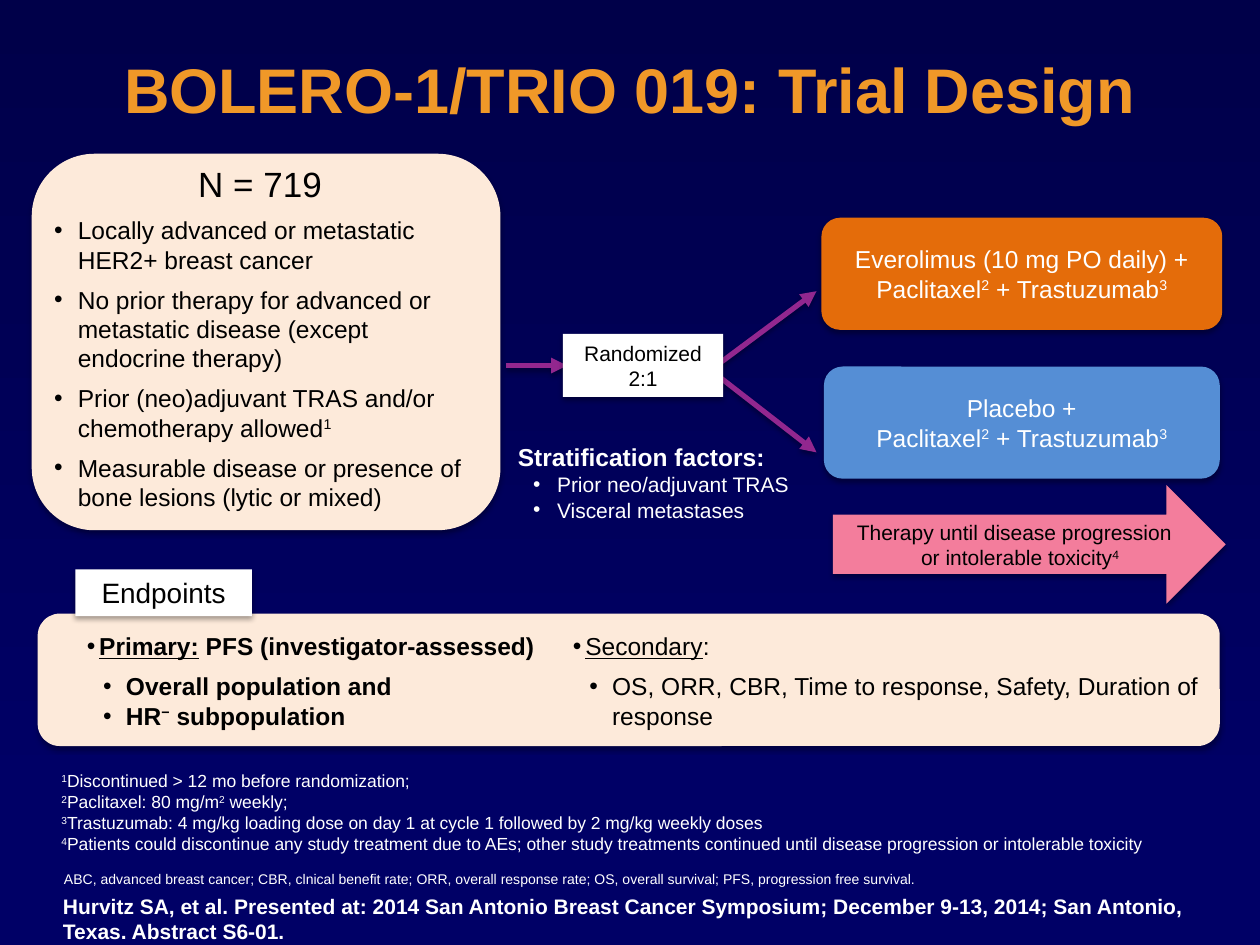
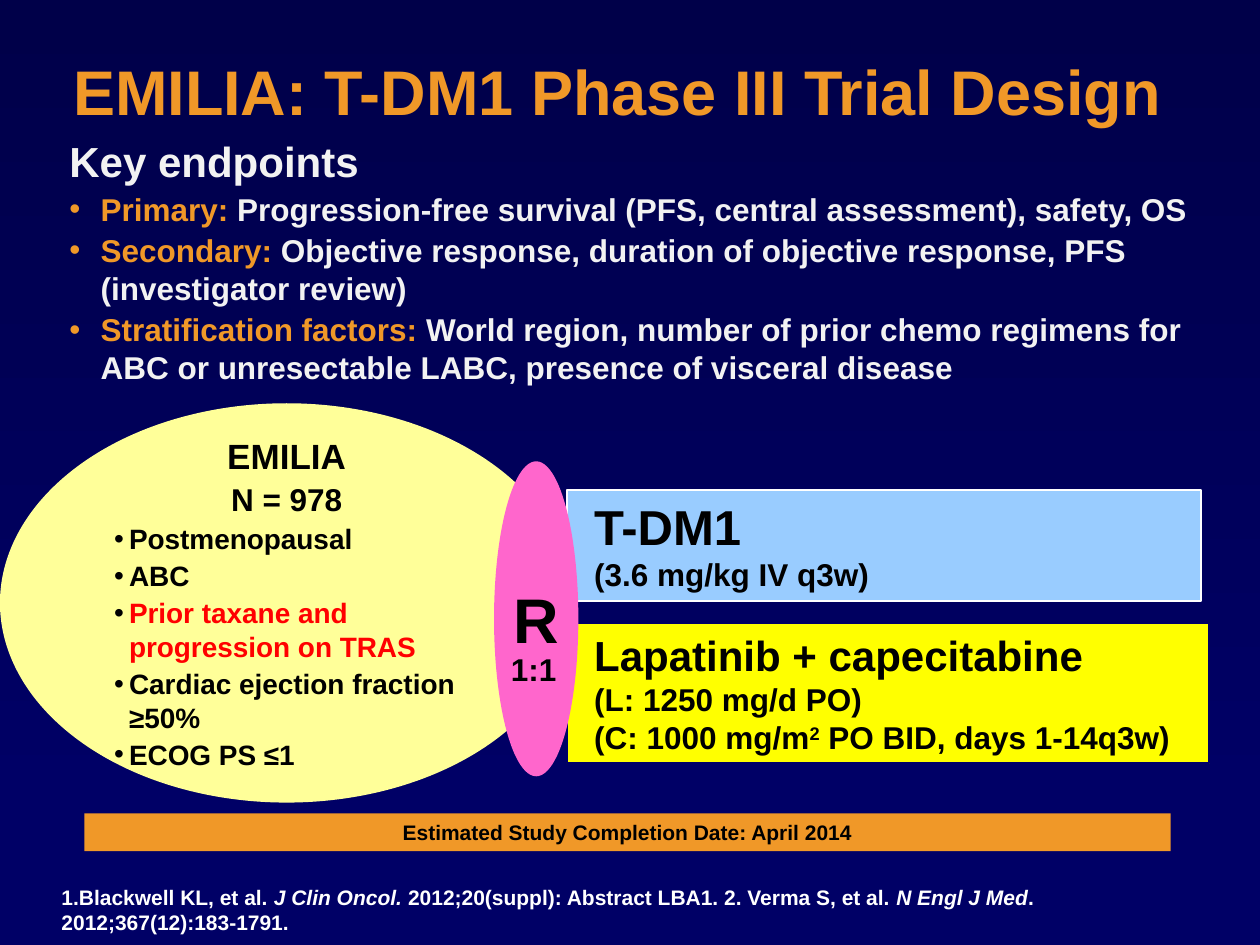
"""Build two slides on the design of the BOLERO-1 and EMILIA breast cancer trials."""
from pptx import Presentation
from pptx.dml.color import RGBColor
from pptx.enum.shapes import MSO_CONNECTOR as Connector, MSO_SHAPE as Shape
from pptx.enum.text import MSO_ANCHOR as Anchor, PP_ALIGN as Align
from pptx.oxml import parse_xml
from pptx.oxml.ns import nsdecls
from pptx.util import Cm, Pt

FONT = "Arial"
BLACK = RGBColor(0x00, 0x00, 0x00)
WHITE = RGBColor(0xFF, 0xFF, 0xFF)
OFF_WHITE = RGBColor(0xF2, 0xF2, 0xF2)
NAVY = RGBColor(0x00, 0x00, 0x66)
DARK_NAVY = RGBColor(0x00, 0x00, 0x49)
AMBER = RGBColor(0xF0, 0x98, 0x28)
CREAM = RGBColor(0xFD, 0xEA, 0xDA)
ORANGE = RGBColor(0xE4, 0x6C, 0x0A)
BLUE = RGBColor(0x55, 0x8E, 0xD5)
PURPLE = RGBColor(0x92, 0x27, 0x8F)
ROSE = RGBColor(0xF3, 0x7D, 0x9C)
SKY = RGBColor(0x99, 0xCC, 0xFF)
YELLOW = RGBColor(0xFF, 0xFF, 0x00)
PALE_YELLOW = RGBColor(0xFF, 0xFF, 0x99)
PINK = RGBColor(0xFF, 0x66, 0xCC)
RED = RGBColor(0xFF, 0x00, 0x00)

NS = nsdecls("a")
SHADOW = (
    f'<a:effectLst {NS}><a:outerShdw blurRad="39400" dist="22900" dir="5400000" rotWithShape="0">'
    '<a:srgbClr val="000000"><a:alpha val="35000"/></a:srgbClr></a:outerShdw></a:effectLst>'
)
TITLE_SHADOW = (
    f'<a:effectLst {NS}><a:outerShdw dist="38100" dir="2700000">'
    '<a:srgbClr val="000000"/></a:outerShdw></a:effectLst>'
)


def draw(slide, kind, box, fill=None, line=None, shadow=False):
    """Add a preset shape, or a text box when kind is None."""
    lengths = [Cm(length) for length in box]
    if kind is None:
        return slide.shapes.add_textbox(*lengths)
    shape = slide.shapes.add_shape(kind, *lengths)
    shape.fill.solid()
    shape.fill.fore_color.rgb = fill
    if line is None:
        shape.line.fill.background()
    else:
        shape.line.color.rgb = line
        shape.line.width = Pt(1)
    if shadow:
        shape._element.spPr.append(parse_xml(SHADOW))
    else:
        shape.shadow.inherit = False
    return shape


def write(shape, paragraphs, anchor=Anchor.MIDDLE, margins=(0.25, 0.13), **base):
    """Fill a shape with (runs, options) paragraphs; text between carets is superscript."""
    frame = shape.text_frame
    frame.word_wrap = True
    frame.vertical_anchor = anchor
    frame.margin_left = frame.margin_right = Cm(margins[0])
    frame.margin_top = frame.margin_bottom = Cm(margins[1])
    for index, (runs, options) in enumerate(paragraphs):
        paragraph = frame.add_paragraph() if index else frame.paragraphs[0]
        look = {"color": BLACK, "align": Align.LEFT, **base, **options}
        properties = paragraph._p.get_or_add_pPr()
        if "indent" in look:
            margin, hanging = look["indent"]
            properties.set("marL", str(Cm(margin)))
            properties.set("indent", str(-Cm(hanging)))
        if "bullet" in look:
            properties.append(parse_xml(f'<a:buClr {NS}><a:srgbClr val="{look["bullet"]}"/></a:buClr>'))
            properties.append(parse_xml(f'<a:buFont {NS} typeface="{FONT}"/>'))
            properties.append(parse_xml(f'<a:buChar {NS} char="•"/>'))
        paragraph.alignment = look["align"]
        paragraph.space_before = Pt(look.get("before", 0) if index else 0)
        paragraph.space_after = Pt(look.get("after", 0))
        paragraph.line_spacing = look.get("spacing", 1.0)
        for text, style in [(runs, {})] if isinstance(runs, str) else runs:
            run_look = {**look, **style}
            for position, piece in enumerate(text.split("^")):
                if not piece:
                    continue
                run = paragraph.add_run()
                run.text = piece
                run.font.name = FONT
                run.font.size = Pt(run_look["size"])
                run.font.color.rgb = run_look["color"]
                run.font.bold = run_look.get("bold", False)
                run.font.italic = run_look.get("italic", False)
                run.font.underline = run_look.get("underline", False)
                if position % 2:
                    run._r.get_or_add_rPr().set("baseline", "30000")


presentation = Presentation()
presentation.slide_width = Cm(25.4)
presentation.slide_height = Cm(19.05)

ITALIC = dict(italic=True)
frames = [
    ("BOLERO-1/TRIO 019: Trial Design", (0.3, 0.44), (1.02, 17.88, 24.5, 1.17),
     "Hurvitz SA, et al. Presented at: 2014 San Antonio Breast Cancer Symposium; "
     "December 9-13, 2014; San Antonio, Texas. Abstract S6-01."),
    ("EMILIA: T-DM1 Phase III Trial Design", (0.05, 0.48), (0.99, 17.7, 23.11, 1.3),
     [("1.Blackwell KL, et al. ", {}), ("J Clin Oncol. ", ITALIC),
      ("2012;20(suppl): Abstract LBA1. 2. Verma S, et al. ", {}), ("N Engl J Med", ITALIC),
      (". 2012;367(12):183-1791.", {})]),
]
slides = []
for title, title_corner, footer_box, citation in frames:
    slide = presentation.slides.add_slide(presentation.slide_layouts[6])
    slide.background.fill.solid()
    slide.background.fill.fore_color.rgb = NAVY
    backdrop = draw(slide, Shape.RECTANGLE, (0, 0, 25.4, 16.31), NAVY)
    backdrop.fill.gradient()
    backdrop.fill.gradient_angle = 270
    for stop, color in zip(backdrop.fill.gradient_stops, (DARK_NAVY, NAVY)):
        stop.color.rgb = color
    heading = draw(slide, None, (*title_corner, 24.8, 2.86))
    write(heading, [(title, {})], size=36, color=AMBER, bold=True, align=Align.CENTER, spacing=0.9)
    heading_run = heading.text_frame.paragraphs[0].runs[0]
    heading_run._r.get_or_add_rPr().insert(1, parse_xml(TITLE_SHADOW))
    footer = draw(slide, None, footer_box)
    write(footer, [(citation, {})], Anchor.TOP, size=12, color=WHITE, bold=True)
    slides.append(slide)
bolero, emilia = slides

draw(bolero, Shape.ROUNDED_RECTANGLE, (0.64, 3.1, 9.45, 7.59), CREAM, shadow=True)
criterion = dict(indent=(0.48, 0.48), bullet=BLACK, before=6)
population = draw(bolero, None, (0.84, 3.15, 8.81, 7.34))
write(population, [
    ("N = 719", dict(size=20, align=Align.CENTER, after=6)),
    ("Locally advanced or metastatic HER2+ breast cancer", {**criterion, "before": 0}),
    ("No prior therapy for advanced or metastatic disease (except endocrine therapy)", criterion),
    ("Prior (neo)adjuvant TRAS and/or chemotherapy allowed^1^", criterion),
    ("Measurable disease or presence of bone lesions (lytic or mixed)", criterion),
], Anchor.TOP, size=14)

arms = [
    ("Everolimus (10 mg PO daily) +", (16.56, 4.39, 8.08, 2.26), ORANGE),
    ("Placebo +", (16.61, 7.39, 7.98, 2.26), BLUE),
]
for agent, box, color in arms:
    arm = draw(bolero, Shape.ROUNDED_RECTANGLE, box, color, shadow=True)
    write(arm, [(agent, {}), ("Paclitaxel^2^ + Trastuzumab^3^", {})],
          size=14, color=WHITE, align=Align.CENTER)

factor = dict(size=12, indent=(0.79, 0.48), bullet=WHITE)
stratification = draw(bolero, None, (10.19, 8.79, 8.36, 1.88))
write(stratification, [
    ("Stratification factors:", dict(bold=True)),
    ("Prior neo/adjuvant TRAS", factor),
    ("Visceral metastases", factor),
], Anchor.TOP, size=14, color=WHITE)

arrows = [(14.55, 7.29, 16.46, 5.87), (14.53, 7.62, 16.46, 9.12), (10.21, 7.37, 11.43, 7.37)]
for ends in arrows:
    arrow = bolero.shapes.add_connector(Connector.STRAIGHT, *[Cm(end) for end in ends])
    arrow.line.color.rgb = PURPLE
    arrow.line.width = Pt(3)
    arrow.line._get_or_add_ln().append(parse_xml(f'<a:tailEnd {NS} type="triangle"/>'))
    arrow._element.spPr.append(parse_xml(SHADOW))

randomization = draw(bolero, Shape.RECTANGLE, (11.35, 6.73, 3.23, 1.27), WHITE, shadow=True)
write(randomization, [("Randomized", {}), ("2:1", {})], size=12, align=Align.CENTER)
duration = draw(bolero, Shape.RIGHT_ARROW, (16.79, 9.78, 7.92, 2.39), ROSE, shadow=True)
write(duration, [("Therapy until disease progression or intolerable toxicity^4^", {})],
      size=12, align=Align.CENTER, indent=(0.23, 0.23))

draw(bolero, Shape.ROUNDED_RECTANGLE, (0.76, 12.37, 23.83, 2.67), CREAM, shadow=True)
label = draw(bolero, Shape.RECTANGLE, (1.52, 11.48, 3.56, 0.94), WHITE, shadow=True)
write(label, [("Endpoints", {})], size=16, align=Align.CENTER)
endpoint = dict(indent=(0.25, 0.25))
detail = dict(indent=(0.79, 0.46))
endpoint_columns = [
    (1.5, True, [
        ([("Primary:", dict(underline=True)), (" PFS (investigator-assessed)", {})], endpoint),
        ("Overall population and", {**detail, "before": 6}),
        ("HR^−^ subpopulation", detail),
    ]),
    (11.3, False, [
        ([("Secondary", dict(underline=True)), (":", {})], endpoint),
        ("OS, ORR, CBR, Time to response, Safety, Duration of response", {**detail, "before": 6}),
    ]),
]
for left, bold, paragraphs in endpoint_columns:
    column = draw(bolero, None, (left, 12.6, 13.34, 2.26))
    write(column, paragraphs, Anchor.TOP, size=14, bold=bold, bullet=BLACK)

footnotes = draw(bolero, None, (0.99, 15.39, 23.77, 1.63))
write(footnotes, [
    ("^1^Discontinued > 12 mo before randomization;", {}),
    ("^2^Paclitaxel: 80 mg/m^2^ weekly;", {}),
    ("^3^Trastuzumab: 4 mg/kg loading dose on day 1 at cycle 1 followed by 2 mg/kg weekly doses", {}),
    ("^4^Patients could discontinue any study treatment due to AEs; other study treatments "
     "continued until disease progression or intolerable toxicity", {}),
], Anchor.TOP, size=10, color=WHITE)
abbreviations = draw(bolero, None, (1.04, 17.42, 23.42, 0.6))
write(abbreviations, [
    ("ABC, advanced breast cancer; CBR, clnical benefit rate; ORR, overall response rate; "
     "OS, overall survival; PFS, progression free survival.", {}),
], Anchor.TOP, size=8, color=WHITE)

treatments = [
    ((11.43, 9.88, 12.78, 2.24), SKY, WHITE, 28, "T-DM1", ["(3.6 mg/kg IV q3w)"]),
    ((11.43, 12.57, 12.95, 2.82), YELLOW, NAVY, 24, "Lapatinib + capecitabine",
     ["(L: 1250 mg/d PO)", "(C: 1000 mg/m^2^ PO BID, days 1-14q3w)"]),
]
for box, fill, line, name_size, name, doses in treatments:
    treatment = draw(emilia, Shape.RECTANGLE, box, fill, line)
    write(treatment, [(name, dict(size=name_size))] + [(dose, {}) for dose in doses],
          Anchor.TOP, size=18, bold=True, indent=(0.3, 0))

eligibility = dict(size=16, indent=(0.66, 0.3), bullet=BLACK)
patients = draw(emilia, Shape.OVAL, (0, 8.13, 11.56, 8.05), PALE_YELLOW)
write(patients, [
    ("EMILIA", dict(size=20, align=Align.CENTER)),
    ("N = 978", dict(size=18, align=Align.CENTER)),
    ("Postmenopausal", eligibility),
    ("ABC", eligibility),
    ("Prior taxane and progression on TRAS", {**eligibility, "color": RED}),
    ("Cardiac ejection fraction ≥50%", eligibility),
    ("ECOG PS ≤1", eligibility),
], bold=True, before=2)
randomizer = draw(emilia, Shape.OVAL, (9.96, 9.3, 1.7, 6.35), PINK)
write(randomizer, [("R", {})], margins=(0, 0), size=36, bold=True, align=Align.CENTER)
ratio = draw(emilia, None, (9.96, 12.98, 1.6, 1.02))
write(ratio, [("1:1", {})], Anchor.TOP, size=18, bold=True, align=Align.CENTER)

key_endpoints = [
    ("Primary: ", "Progression-free survival (PFS, central assessment), safety, OS"),
    ("Secondary: ", "Objective response, duration of objective response, PFS (investigator review)"),
    ("Stratification factors: ", "World region, number of prior chemo regimens for ABC or "
     "unresectable LABC, presence of visceral disease"),
]
endpoint_list = draw(emilia, None, (1.4, 2.74, 23.5, 5.72))
write(endpoint_list, [("Key endpoints", dict(size=24))] + [
    ([(term, dict(color=AMBER)), (meaning, {})], dict(indent=(0.63, 0.63), bullet=AMBER, before=2))
    for term, meaning in key_endpoints
], Anchor.TOP, (0, 0), size=18, color=OFF_WHITE, bold=True)

completion = draw(emilia, Shape.RECTANGLE, (1.7, 16.4, 21.9, 0.76), AMBER)
write(completion, [("Estimated Study Completion Date: April 2014", {})],
      size=12, bold=True, align=Align.CENTER)

presentation.save("out.pptx")
